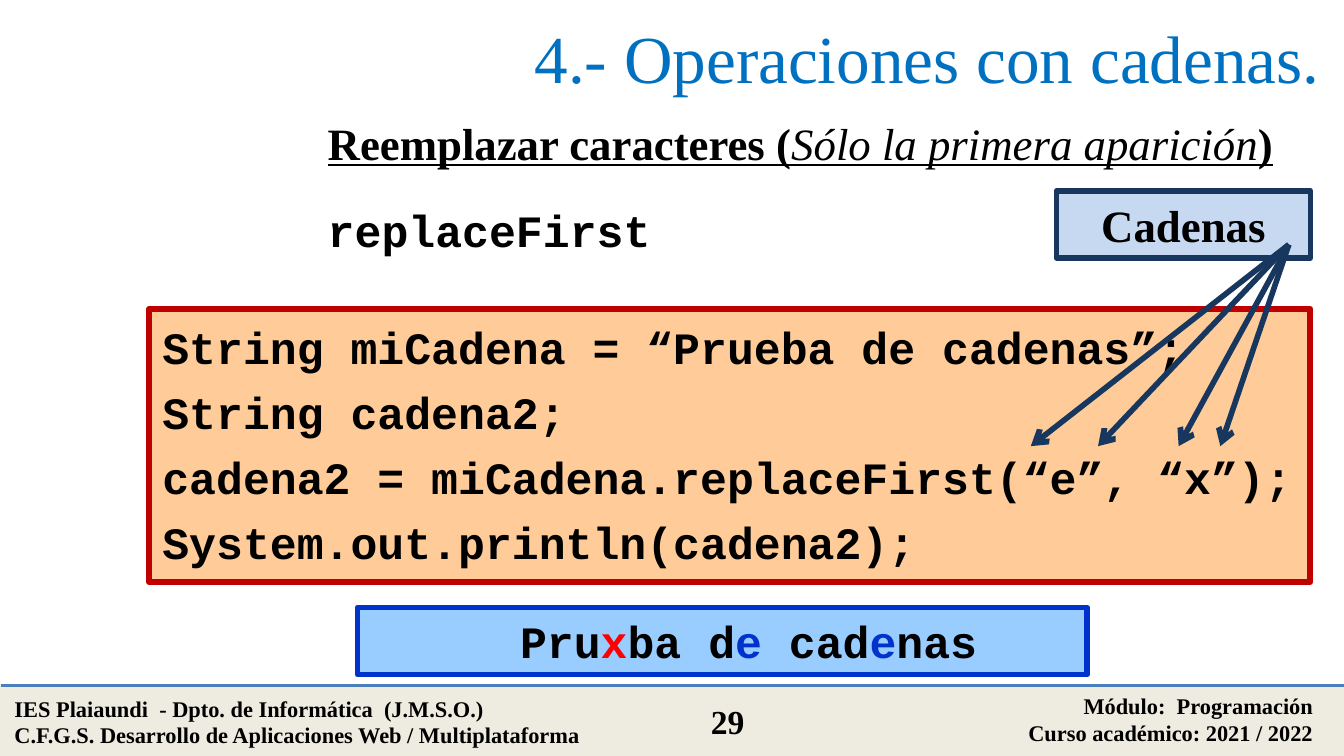
from lxml import etree
from pptx import Presentation
from pptx.dml.color import RGBColor
from pptx.enum import shapes, text
from pptx.oxml import ns
from pptx.util import Inches, Pt

COLORS = {
    "black": "000000", "title": "0070C0", "footer": "EEECE1", "rule": "4B7EBC",
    "code_fill": "FFCC99", "code_edge": "C00000",
    "label_fill": "C6D9F1", "navy": "17375E",
    "output_fill": "99CCFF", "blue": "0033CC", "red": "FF0000",
}
SERIF, MONO = "Times New Roman", "Courier New"
LEFT, CENTER, RIGHT = text.PP_ALIGN.LEFT, text.PP_ALIGN.CENTER, text.PP_ALIGN.RIGHT


def color(name):
    return RGBColor.from_string(COLORS[name])


def write(shape, paragraphs, size, font=SERIF, ink="black", bold=True, align=LEFT,
          anchor=text.MSO_ANCHOR.TOP):
    """Fill a shape with paragraphs, each a list of run texts."""
    frame = shape.text_frame
    frame.word_wrap = True
    frame.vertical_anchor = anchor
    for index, pieces in enumerate(paragraphs):
        paragraph = frame.paragraphs[0] if index == 0 else frame.add_paragraph()
        paragraph.alignment = align
        for piece in pieces:
            run = paragraph.add_run()
            run.text = piece
            run.font.name, run.font.size, run.font.bold = font, Pt(size), bold
            run.font.color.rgb = color(ink)
    return frame


def add_label(slide, box, paragraphs, size, **style):
    label = slide.shapes.add_textbox(*map(Inches, box))
    return write(label, paragraphs, size, **style)


def add_box(slide, box, fill, edge, width):
    panel = slide.shapes.add_shape(shapes.MSO_SHAPE.RECTANGLE, *map(Inches, box))
    panel.shadow.inherit = False
    panel.fill.solid()
    panel.fill.fore_color.rgb = color(fill)
    panel.line.color.rgb = color(edge)
    panel.line.width = Pt(width)
    return panel


def add_line(slide, start, end, ink, width, arrow=False):
    line = slide.shapes.add_connector(
        shapes.MSO_CONNECTOR.STRAIGHT, *map(Inches, (*start, *end)))
    line.line.color.rgb = color(ink)
    line.line.width = Pt(width)
    if arrow:
        etree.SubElement(line.line._get_or_add_ln(), ns.qn("a:tailEnd"), type="arrow")
    etree.SubElement(line._element.spPr, ns.qn("a:effectLst"))


def add_footer(slide):
    add_box(slide, (0.01, 5.1, 10, 0.52), "footer", "footer", 2)
    add_line(slide, (0.01, 5.1), (10.01, 5.1), "rule", 2)
    add_label(slide, (0.01, 5.12, 4.66, 0.5),
              [["IES Plaiaundi  - Dpto. de Informática  (J.M.S.O.)"],
               ["C.F.G.S. Desarrollo de Aplicaciones Web / Multiplataforma"]], 12)
    add_label(slide, (5.87, 5.1, 4, 0.5),
              [["Módulo:  Programación"], ["Curso académico: 2021 / 2022"]], 12, align=RIGHT)
    add_label(slide, (5.01, 5.17, 0.81, 0.4), [["29"]], 18, align=CENTER)


def add_headings(slide):
    add_label(slide, (1.24, 0, 8.68, 0.84), [["4.- Operaciones con cadenas."]], 36,
              ink="title", bold=False, align=RIGHT, anchor=text.MSO_ANCHOR.MIDDLE)
    topic = add_label(slide, (2.34, 0.81, 7.23, 0.5),
                      [["Reemplazar caracteres (", "Sólo la primera aparición", ")"]], 24,
                      align=text.PP_ALIGN.JUSTIFY)
    runs = topic.paragraphs[0].runs
    for run in runs:
        run.font.underline = True
    runs[1].font.bold, runs[1].font.italic = False, True
    add_label(slide, (2.34, 1.46, 3.81, 0.5), [["replaceFirst"]], 24, font=MONO)


def add_code(slide):
    panel = add_box(slide, (1.11, 2.3, 8.64, 2.03), "code_fill", "code_edge", 3.25)
    code = write(panel, [
        ["String miCadena = “Prueba de cadenas”;"],
        ["String cadena2;"],
        ["cadena2 = miCadena.replaceFirst(“e”, “x”);"],
        ["System.out.println(cadena2);"],
    ], 24, font=MONO)
    code.margin_top = code.margin_bottom = Inches(0.08)
    for index, paragraph in enumerate(code.paragraphs):
        paragraph.space_before = Pt(6 if index else 12)


def add_output(slide):
    panel = add_box(slide, (2.66, 4.52, 5.43, 0.5), "output_fill", "blue", 3)
    output = write(panel, [["Pru", "x", "ba d", "e", " cad", "e", "nas"]], 24,
                   font=MONO, align=CENTER)
    line = output.paragraphs[0]
    line._p.get_or_add_pPr().set("indent", str(Inches(0.39)))
    for run in line.runs:
        if run.text in ("x", "e"):
            run.font.color.rgb = color("red" if run.text == "x" else "blue")


def add_callout(slide):
    """Label the string arguments and point at each of their quotes."""
    panel = add_box(slide, (7.86, 1.42, 1.89, 0.5), "label_fill", "navy", 3)
    write(panel, [["Cadenas"]], 24, align=CENTER)
    for quote_x in (7.67, 8.17, 8.77, 9.08):
        add_line(slide, (9.59, 1.82), (quote_x, 3.32), "navy", 3, arrow=True)


def main():
    deck = Presentation()
    deck.slide_width, deck.slide_height = Inches(10), Inches(10 * 9 / 16)
    slide = deck.slides.add_slide(deck.slide_layouts[6])
    add_footer(slide)
    add_headings(slide)
    add_code(slide)
    add_output(slide)
    add_callout(slide)
    deck.save("out.pptx")


if __name__ == "__main__":
    main()
